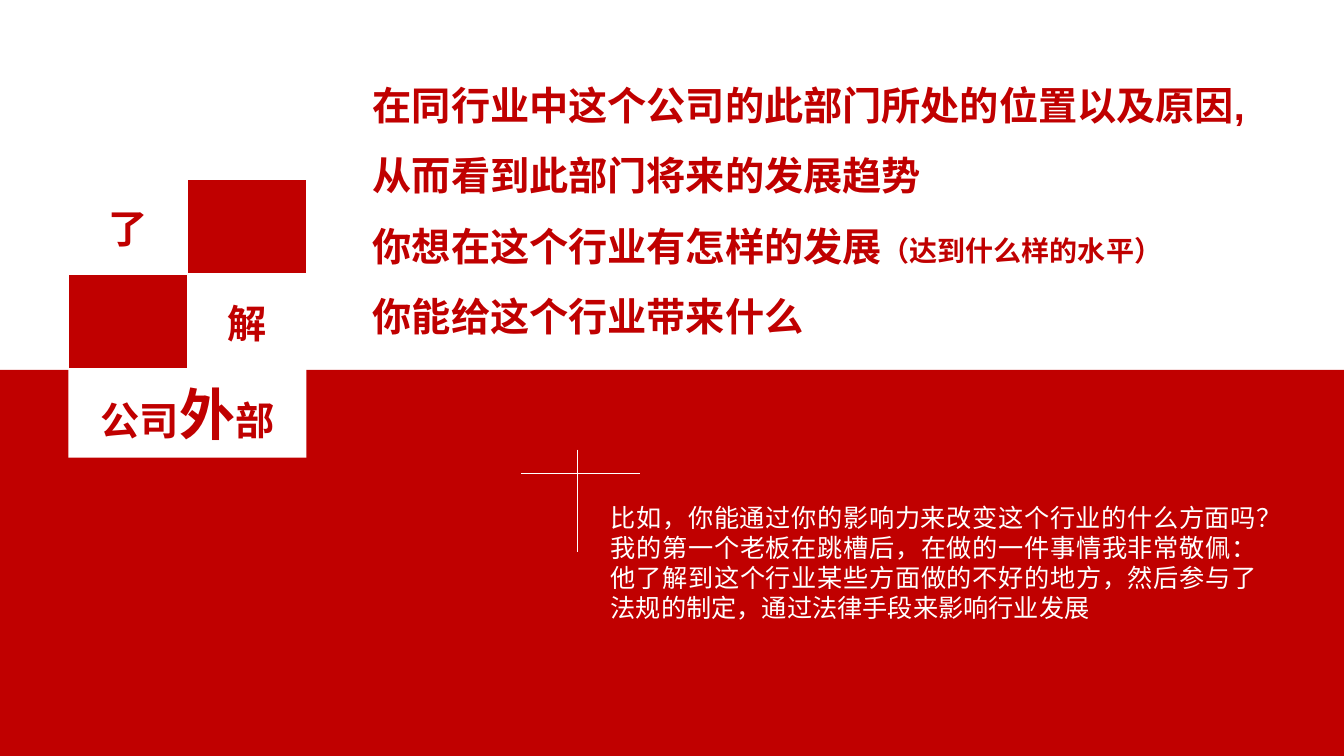
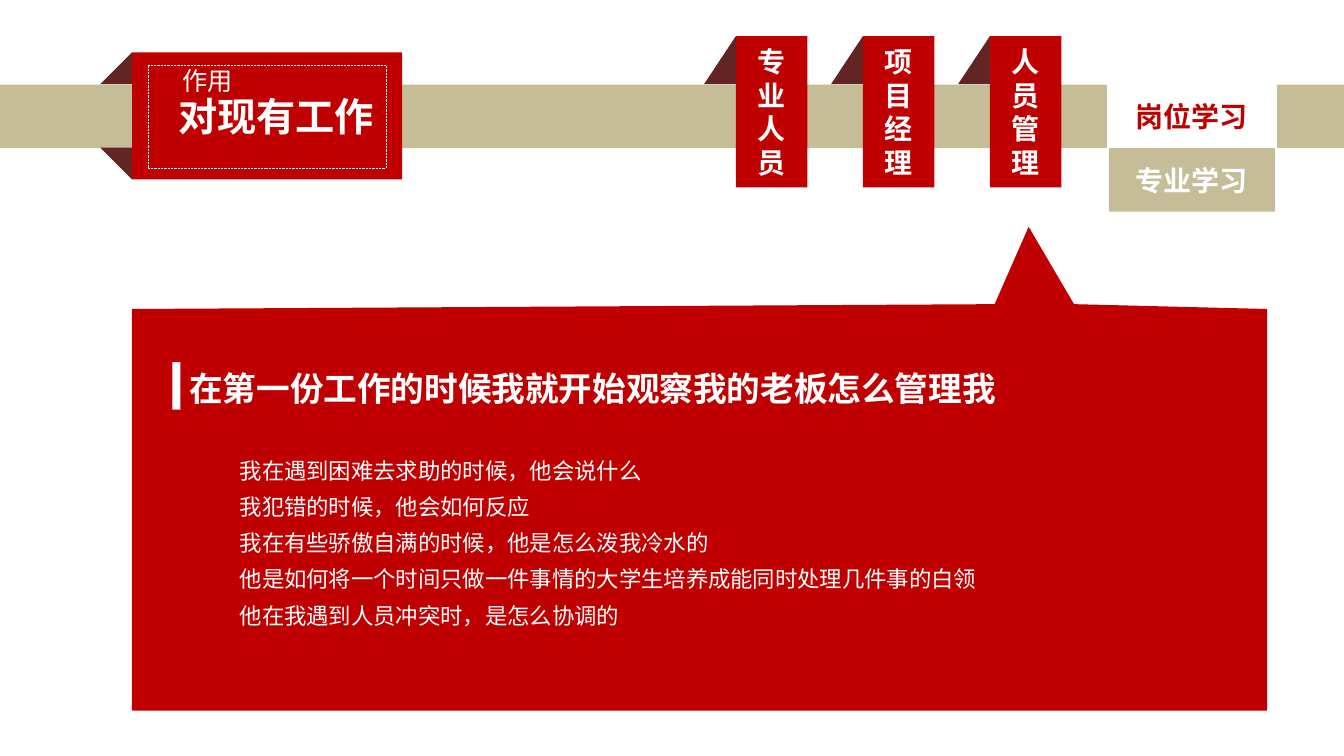
from lxml import etree
from pptx import Presentation, util as u
from pptx.dml import color
from pptx.enum import dml, shapes, text
from pptx.oxml import ns

RED, WHITE, SAND, DARK = "C00000", "FFFFFF", "C4BD97", "632523"
COLS, ROWS = 133.33, 75
FONT = "Arial"
KIND = shapes.MSO_SHAPE
MID = text.PP_ALIGN.CENTER


def cell(n):
    """Turn grid cells, a tenth of an inch each, into a length."""
    return u.Inches(n / 10)


def rgb(code):
    """Turn a hex string into a colour."""
    return color.RGBColor.from_string(code)


def run(para, words, size, ink, bold=False, font=FONT):
    """Add one run to a paragraph."""
    part = para.add_run()
    part.text = words
    part.font.name, part.font.size, part.font.bold = font, u.Pt(size), bold
    part.font.color.rgb = rgb(ink)


def shape(slide, x, y, w, h, fill=None, kind=KIND.RECTANGLE):
    """Add a plain preset shape without outline."""
    item = slide.shapes.add_shape(kind, *map(cell, (x, y, w, h)))
    paint(item, fill)
    return item


def paint(item, fill):
    """Fill a shape, and take off its line and shadow."""
    item.shadow.inherit = False
    item.line.fill.background()
    if fill:
        item.fill.solid()
        item.fill.fore_color.rgb = rgb(fill)
    else:
        item.fill.background()


def label(item, parts, ink):
    """Centre bold runs of (words, size) in a shape or cell."""
    frame = item.text_frame
    item.vertical_anchor = frame.vertical_anchor = text.MSO_ANCHOR.MIDDLE
    frame.word_wrap = True
    para = frame.paragraphs[0]
    para.alignment = MID
    for words, size in parts:
        run(para, words, size, ink, True)


def block(slide, x, y, w, h, paras, ink, space=None, bold=False, font=FONT):
    """Add a text box of paragraphs, each a list of (words, size) runs."""
    frame = slide.shapes.add_textbox(*map(cell, (x, y, w, h))).text_frame
    frame.word_wrap = True
    for i, parts in enumerate(paras):
        para = frame.add_paragraph() if i else frame.paragraphs[0]
        para.line_spacing = space
        for words, size in parts:
            run(para, words, size, ink, bold, font)
    return frame


def rule(slide, x1, y1, x2, y2):
    """Draw a thin white line."""
    line = slide.shapes.add_connector(
        shapes.MSO_CONNECTOR.STRAIGHT, *map(cell, (x1, y1, x2, y2)))
    line.line.color.rgb = rgb(WHITE)
    line.line.width = u.Pt(0.75)
    etree.SubElement(line._element.spPr, ns.qn("a:effectLst"))


def cross(slide, x, y, w, h):
    """Draw two lines that cross near the top of a box."""
    rule(slide, x, y + h * 0.23, x + w, y + h * 0.23)
    rule(slide, x + w * 0.47, y, x + w * 0.47, y + h)


def checks(slide, x, y, w, h):
    """Place a two by two checkered table above its caption."""
    deep = h * 0.68
    shape_box = shape(slide, x, y + deep, w, h - deep, WHITE)
    label(shape_box, [("公司", 28), ("外", 40), ("部", 28)], RED)
    table = slide.shapes.add_table(2, 2, *map(cell, (x, y, w, deep))).table
    table.first_row = table.horz_banding = False
    for i, word in enumerate("了解"):
        for j in range(2):
            box = table.cell(i, j)
            box.fill.solid()
            box.fill.fore_color.rgb = rgb(WHITE if i == j else RED)
            if i == j:
                label(box, [(word, 28)], RED)


def outside(slide):
    """Build the slide on the world outside the company."""
    top = 36.7
    shape(slide, 0, top, COLS, ROWS - top, RED)
    block(slide, 36, 5.2, 92, 32.3, [
        [("在同行业中这个公司的此部门所处的位置以及原因,", 28)],
        [("从而看到此部门将来的发展趋势", 28)],
        [("你想在这个行业有怎样的发展", 28), ("（达到什么样的水平）", 20)],
        [("你能给这个行业带来什么", 28)]], RED, 1.5, True)
    cross(slide, 51.7, 44.6, 11.8, 10.2)
    note = block(slide, 59.6, 49.3, 66.1, 13.1, [[(
        "比如，你能通过你的影响力来改变这个行业的什么方面吗？"
        "我的第一个老板在跳槽后，在做的一件事情我非常敬佩："
        "他了解到这个行业某些方面做的不好的地方，然后参与了"
        "法规的制定，通过法律手段来影响行业发展", 18)]], WHITE)
    note.paragraphs[0].alignment = text.PP_ALIGN.JUSTIFY
    checks(slide, 6.8, 17.8, 23.6, 27.6)


def fold(slide, x, y, w, h, down=False):
    """Add the dark folded corner of a ribbon."""
    item = shape(slide, x, y, w, h, DARK, KIND.RIGHT_TRIANGLE)
    frame = item._element.spPr.get_or_add_xfrm()
    frame.set("flipH", "1")
    if down:
        frame.set("flipV", "1")


def title(slide, x, y, w, h):
    """Place the title ribbon with its folds and dotted frame."""
    ear = h / 4
    plate = shape(slide, x, y, w, h, RED)
    label(plate, [("对现有工作", 28)], WHITE)
    plate.text_frame.margin_left = cell(2.8)
    fold(slide, x - ear, y, ear, ear)
    fold(slide, x - ear, y + h - ear, ear, ear, True)
    block(slide, x + w * 0.15, y + h * 0.06, 9.4, 4, [[("作用", 18)]], WHITE)
    frame = shape(slide, x + w * 0.06, y + h * 0.1, w * 0.88, h * 0.81)
    frame.line.color.rgb = rgb(WHITE)
    frame.line.width = u.Pt(0.5)
    frame.line.dash_style = dml.MSO_LINE.ROUND_DOT


def tab(slide, x, y, w, h, words):
    """Place an upright ribbon with one sign on each line."""
    label(shape(slide, x, y, w, h, RED), [(words, 20)], WHITE)
    fold(slide, x - 3.15, y, 3.15, 4.75)


def study(slide, x, y, w, h):
    """Stack the two study labels."""
    half = h / 2
    upper = shape(slide, x, y, w, half, WHITE)
    upper.line.color.rgb = rgb(WHITE)
    upper.line.width = u.Pt(2)
    label(upper, [("岗位学习", 20)], RED)
    label(shape(slide, x, y + half, w, half, SAND), [("专业学习", 20)], WHITE)


def panel(slide, x, y, w, h):
    """Draw the pointed panel with its heading and list."""
    spots = [(0, 1), (0, 0.17), (0.76, 0.16), (0.79, 0), (0.83, 0.16),
             (1, 0.17), (1, 1)]
    dots = [(cell(x + w * a), cell(y + h * b)) for a, b in spots]
    pen = slide.shapes.build_freeform(*dots[0])
    pen.add_line_segments(dots[1:], close=True)
    paint(pen.convert_to_shape(), RED)
    left = x + 4
    shape(slide, left, y + h * 0.28, 0.8, 4.7, WHITE)
    block(slide, left + 0.7, y + 12.1, w * 0.88, 6.4,
          [[("在第一份工作的时候我就开始观察我的老板怎么管理我", 24)]],
          WHITE, 1.35, True)
    lines = ["我在遇到困难去求助的时候，他会说什么",
             "我犯错的时候，他会如何反应",
             "我在有些骄傲自满的时候，他是怎么泼我冷水的",
             "他是如何将一个时间只做一件事情的大学生培养成能同时处理几件事的白领",
             "他在我遇到人员冲突时，是怎么协调的"]
    block(slide, left + 5.7, y + 21.4, w * 0.83, 19,
          [[(line, 16)] for line in lines], WHITE, 1.35, font="Roboto")


def current(slide):
    """Build the slide on the value for the present job."""
    shape(slide, 0, 8.4, COLS, 6.3, SAND)
    title(slide, 13.1, 5.2, 26.8, 12.6)
    for i, words in enumerate(["专业人员", "项目经理", "人员管理"]):
        tab(slide, 73 + i * 12.6, 3.6, 7.1, 15, words)
    study(slide, 110, 8.4, 16.5, 12.6)
    panel(slide, 13.1, 22.5, 112.6, 48)


def main():
    """Build and save the slides."""
    deck = Presentation()
    deck.slide_width, deck.slide_height = cell(COLS), cell(ROWS)
    for build in (outside, current):
        build(deck.slides.add_slide(deck.slide_layouts[6]))
    deck.save("out.pptx")


if __name__ == "__main__":
    main()
